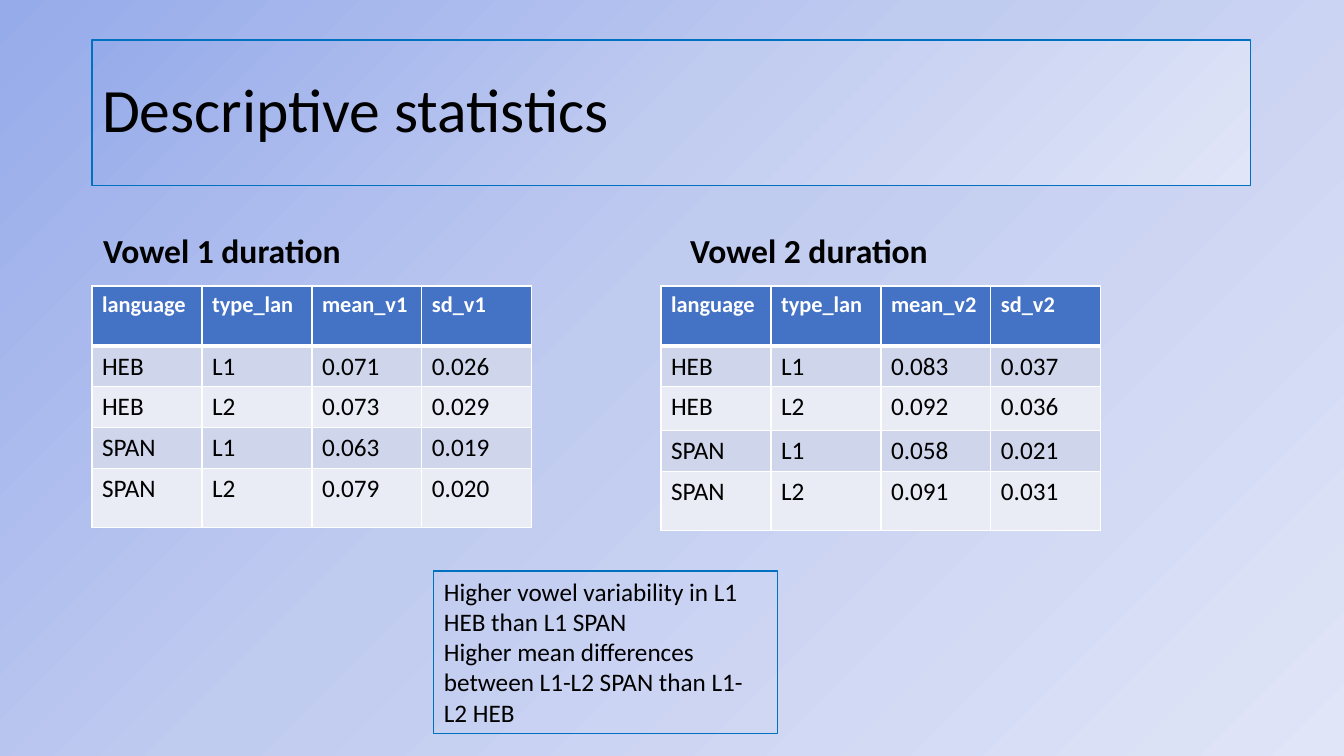
from dataclasses import dataclass

from lxml.etree import SubElement
from pptx import Presentation
from pptx.dml.color import RGBColor
from pptx.enum.shapes import MSO_SHAPE
from pptx.enum.text import MSO_ANCHOR, MSO_AUTO_SIZE, PP_ALIGN
from pptx.oxml.ns import qn
from pptx.util import Emu, Pt

EMU_PER_PX = 914400 / 100.8


@dataclass(frozen=True)
class Theme:
    font: str = "Calibri"
    text: str = "000000"
    white: str = "FFFFFF"
    outline: str = "0070C0"
    header: str = "4472C4"
    bands: tuple = ("CFD5EA", "E9EBF5")
    gradient: tuple = ("96ABEA", "C0CBF0", "E0E5F7")
    title_size: int = 44
    heading_size: int = 24
    table_header_size: int = 16
    text_size: int = 18
    outline_width: float = 0.75
    cell_border: int = 1
    header_border: int = 3


@dataclass(frozen=True)
class Box:
    left: int
    top: int
    width: int
    height: int


@dataclass(frozen=True)
class VowelPanel:
    vowel: int
    placeholder: int
    heading: Box
    table_left: int
    row_heights: tuple
    stats: tuple


THEME = Theme()
COLUMN_WIDTH = 110
TABLE_TOP = 286
GROUPS = (("HEB", "L1"), ("HEB", "L2"), ("SPAN", "L1"), ("SPAN", "L2"))
PANELS = (
    VowelPanel(1, 1, Box(93, 185, 568, 91), 92, (60, 34, 34, 34, 59),
               (("0.071", "0.026"), ("0.073", "0.029"),
                ("0.063", "0.019"), ("0.079", "0.020"))),
    VowelPanel(2, 3, Box(680, 185, 572, 91), 661, (60, 34, 44, 34, 59),
               (("0.083", "0.037"), ("0.092", "0.036"),
                ("0.058", "0.021"), ("0.091", "0.031"))),
)
FINDINGS = (
    "Higher vowel variability in L1 HEB than L1 SPAN",
    "Higher mean differences between L1-L2 SPAN than L1- L2 HEB",
)


def px(n: int) -> Emu:
    return Emu(round(n * EMU_PER_PX))


def rgb(color: str) -> RGBColor:
    return RGBColor.from_string(color)


def place(sp, box: Box) -> None:
    sp.left, sp.top = px(box.left), px(box.top)
    sp.width, sp.height = px(box.width), px(box.height)


def style(p, size: int, color: str = THEME.text, bold: bool = False) -> None:
    p.alignment = PP_ALIGN.LEFT
    p.font.name, p.font.size, p.font.bold = THEME.font, Pt(size), bold
    p.font.color.rgb = rgb(color)


def outline(sp) -> None:
    sp.line.color.rgb = rgb(THEME.outline)
    sp.line.width = Pt(THEME.outline_width)


def fill_gradient(fill, element, middle: int) -> None:
    """Give the first gradient in element three diagonal stops, the second at middle percent."""
    fill.gradient()
    grad = next(element.iter(qn("a:gradFill")))
    for child in list(grad):
        grad.remove(child)
    stops = SubElement(grad, qn("a:gsLst"))
    for percent, color in zip((0, middle, 100), THEME.gradient):
        stop = SubElement(stops, qn("a:gs"), pos=str(percent * 1000))
        SubElement(stop, qn("a:srgbClr"), val=color)
    SubElement(grad, qn("a:lin"), ang=str(45 * 60000), scaled="0")


def set_borders(cell, row: int) -> None:
    tc_pr = cell._tc.get_or_add_tcPr()
    for side in "LRTB":
        under_header = (row, side) in ((0, "B"), (1, "T"))
        width = THEME.header_border if under_header else THEME.cell_border
        ln = SubElement(tc_pr, qn(f"a:ln{side}"), w=str(Pt(width)))
        SubElement(SubElement(ln, qn("a:solidFill")), qn("a:srgbClr"), val=THEME.white)


def fill_placeholder(sp, box: Box, text: str, size: int, anchor, bold: bool = False):
    """Move a placeholder, write its text and return the paragraph."""
    place(sp, box)
    tf = sp.text_frame
    tf.text = text
    tf.auto_size, tf.vertical_anchor = MSO_AUTO_SIZE.NONE, anchor
    p = tf.paragraphs[0]
    style(p, size, bold=bold)
    p.line_spacing = 0.9
    return p


def add_title(slide) -> None:
    sp = slide.shapes.title
    fill_placeholder(sp, Box(92, 40, 1159, 146), "Descriptive statistics",
                     THEME.title_size, MSO_ANCHOR.MIDDLE)
    fill_gradient(sp.fill, sp.element, 50)
    outline(sp)


def add_panel(slide, panel: VowelPanel) -> None:
    p = fill_placeholder(slide.placeholders[panel.placeholder], panel.heading,
                         f"Vowel {panel.vowel} duration", THEME.heading_size,
                         MSO_ANCHOR.BOTTOM, bold=True)
    p.space_before = Pt(10)

    header = ("language", "type_lan", f"mean_v{panel.vowel}", f"sd_v{panel.vowel}")
    rows = [header] + [group + stats for group, stats in zip(GROUPS, panel.stats)]
    table = slide.shapes.add_table(
        len(rows), len(header), px(panel.table_left), px(TABLE_TOP),
        px(COLUMN_WIDTH * len(header)), px(sum(panel.row_heights))).table
    table.horz_banding = False
    for column in table.columns:
        column.width = px(COLUMN_WIDTH)
    for i, (values, height) in enumerate(zip(rows, panel.row_heights)):
        table.rows[i].height = px(height)
        for j, value in enumerate(values):
            cell = table.cell(i, j)
            cell.text = value
            p = cell.text_frame.paragraphs[0]
            if i == 0:
                style(p, THEME.table_header_size, THEME.white, bold=True)
            else:
                style(p, THEME.text_size)
            set_borders(cell, i)
            cell.fill.solid()
            cell.fill.fore_color.rgb = rgb(THEME.bands[(i - 1) % 2] if i else THEME.header)


def add_findings(slide) -> None:
    sp = slide.shapes.add_shape(MSO_SHAPE.RECTANGLE, 0, 0, 0, 0)
    place(sp, Box(434, 571, 344, 163))
    sp.shadow.inherit = False
    sp.fill.background()
    outline(sp)
    tf = sp.text_frame
    tf.word_wrap, tf.vertical_anchor = True, MSO_ANCHOR.TOP
    tf.auto_size = MSO_AUTO_SIZE.SHAPE_TO_FIT_TEXT
    tf.text = "\n".join(FINDINGS)
    for p in tf.paragraphs:
        style(p, THEME.text_size)


def main() -> None:
    prs = Presentation()
    prs.slide_width, prs.slide_height = px(1344), px(756)
    slide = prs.slides.add_slide(prs.slide_layouts.get_by_name("Comparison"))
    fill_gradient(slide.background.fill, slide.element, 45)
    add_title(slide)
    for panel in PANELS:
        add_panel(slide, panel)
    add_findings(slide)
    for sp in list(slide.placeholders):
        if not sp.text_frame.text:
            sp.element.getparent().remove(sp.element)
    prs.save("out.pptx")


if __name__ == "__main__":
    main()
